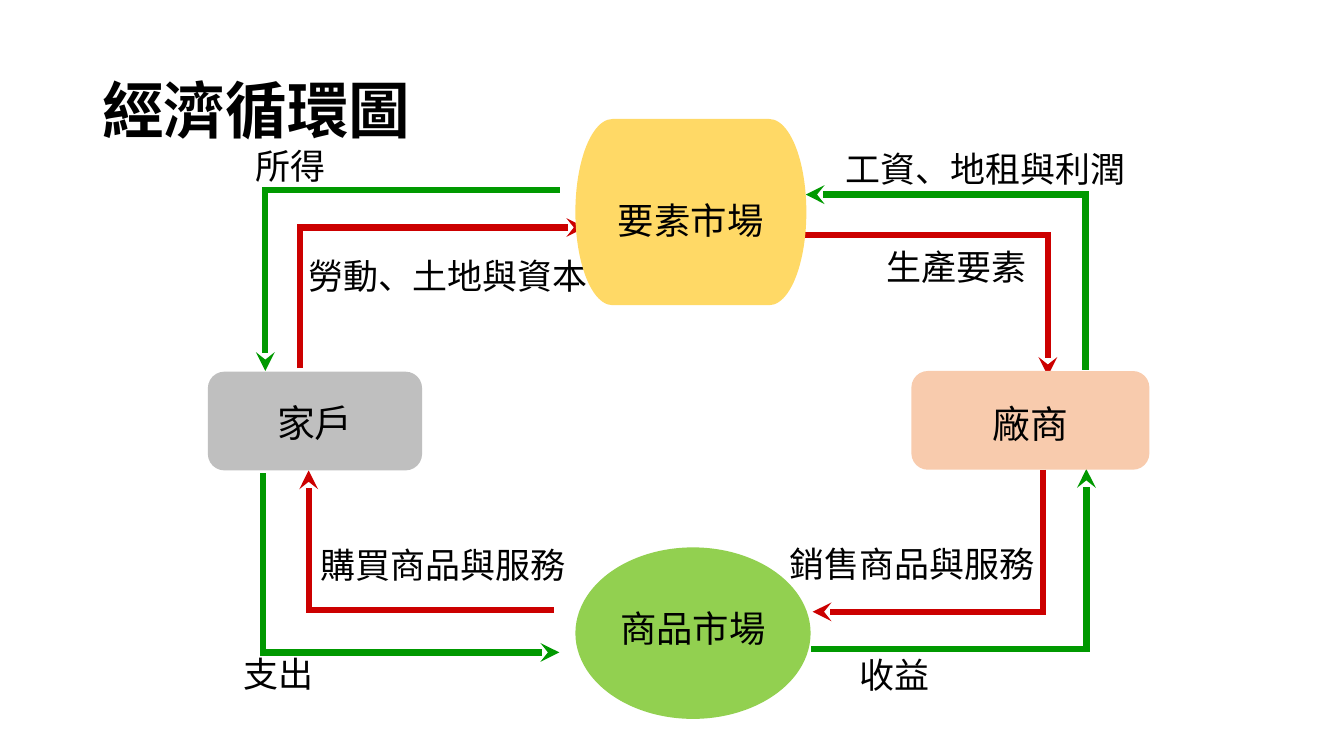
from lxml.etree import SubElement
from pptx import Presentation
from pptx.dml.color import RGBColor
from pptx.enum.shapes import MSO_CONNECTOR as Connector, MSO_SHAPE as Shape
from pptx.enum.text import MSO_ANCHOR as Anchor, PP_ALIGN as Align
from pptx.oxml.ns import qn
from pptx.util import Pt

COLORS = {
    "black": "000000",
    "goods": "CC0000",
    "money": "009900",
    "factor_market": "FFD966",
    "goods_market": "92D050",
    "household": "BFBFBF",
    "firm": "F8CBAD",
}
LINE_WIDTH = 4.5

# colour, then start, corner and arrow tip
FLOWS = [
    ("goods", (554.5, 168), (748.5, 168), (748.5, 268.5)),
    ("goods", (214.5, 263), (214.5, 162.5), (418, 162.5)),
    ("money", (579.5, 463.5), (776, 463.5), (776, 335)),
    ("money", (188, 338), (188, 466), (399.5, 466)),
    ("goods", (395.5, 435.5), (220.5, 435.5), (220.5, 336)),
    ("goods", (745, 335.5), (745, 437), (580.5, 437)),
    ("money", (775.5, 264), (775.5, 139), (575.5, 139)),
    ("money", (400, 135.5), (189.5, 135.5), (189.5, 265)),
]

# text, box, alignment, line spacing
LABELS = [
    ("生產要素", (619, 175, 121, 34.5), Align.RIGHT, 0.9),
    ("勞動、土地與資本", (213, 181.5, 217, 34.5), Align.LEFT, 0.9),
    ("收益", (607, 463, 201, 37.5), Align.LEFT, 1.0),
    ("支出", (167, 465, 176, 36), Align.LEFT, 0.95),
    ("購買商品與服務", (217.5, 388, 193.5, 34.5), Align.RIGHT, 0.9),
    ("銷售商品與服務", (557, 387.5, 191, 34.5), Align.LEFT, 0.9),
    ("工資、地租與利潤", (597, 101.5, 227.5, 37.5), Align.LEFT, 1.0),
    ("所得", (175.5, 99.5, 227.5, 37.5), Align.LEFT, 1.0),
]

# text, preset, colour, box, text size, downward shift of the text
NODES = [
    ("要素市場", Shape.FLOWCHART_TERMINATOR, "factor_market", (411, 85, 165, 133), 26, 5.5),
    ("商品市場", Shape.OVAL, "goods_market", (411, 391, 168, 122.5), 26, -4),
    ("廠商", Shape.ROUNDED_RECTANGLE, "firm", (651, 265, 170, 70.5), 27, 2.5),
    ("家戶", Shape.ROUNDED_RECTANGLE, "household", (148.5, 265.5, 153, 70.5), 27, 1),
]


def color(name):
    return RGBColor.from_string(COLORS[name])


def set_text(shape, text, *, size, font="Arial", bold=False, align=Align.LEFT,
             spacing=1.0, anchor=Anchor.TOP):
    frame = shape.text_frame
    frame.word_wrap = True
    frame.vertical_anchor = anchor
    paragraph = frame.paragraphs[0]
    paragraph.text = text
    paragraph.alignment = align
    paragraph.line_spacing = spacing
    paragraph.font.size = Pt(size)
    paragraph.font.name = font
    paragraph.font.bold = bold
    paragraph.font.color.rgb = color("black")


def add_label(slide, text, box, **text_format):
    label = slide.shapes.add_textbox(*map(Pt, box))
    set_text(label, text, **text_format)


def add_node(slide, text, preset, fill, box, size, shift):
    node = slide.shapes.add_shape(preset, *map(Pt, box))
    node.shadow.inherit = False
    node.fill.solid()
    node.fill.fore_color.rgb = color(fill)
    node.line.fill.background()
    set_text(node, text, size=size, align=Align.CENTER, anchor=Anchor.MIDDLE)
    node.text_frame.margin_top = Pt(6 + shift)
    node.text_frame.margin_bottom = Pt(6 - shift)


def add_segment(slide, start, end, line_color, arrow=False):
    segment = slide.shapes.add_connector(Connector.STRAIGHT, *map(Pt, start + end))
    segment.line.color.rgb = color(line_color)
    segment.line.width = Pt(LINE_WIDTH)
    if arrow:
        SubElement(segment.line._get_or_add_ln(), qn("a:tailEnd"), type="stealth")
    SubElement(segment._element.spPr, qn("a:effectLst"))


def add_flow(slide, line_color, start, corner, tip):
    """Draw a right-angled arrow whose first leg is lengthened to fill the corner."""
    half = LINE_WIDTH / 2
    outer = tuple(c + half * ((c > s) - (c < s)) for s, c in zip(start, corner))
    add_segment(slide, start, outer, line_color)
    add_segment(slide, corner, tip, line_color, arrow=True)


def main():
    presentation = Presentation()
    presentation.slide_width = Pt(960)
    presentation.slide_height = Pt(540)
    slide = presentation.slides.add_slide(presentation.slide_layouts[6])

    for flow in FLOWS:
        add_flow(slide, *flow)
    for text, box, align, spacing in LABELS:
        add_label(slide, text, box, size=25, align=align, spacing=spacing)
    for node in NODES:
        add_node(slide, *node)
    add_label(slide, "經濟循環圖", (66, 29, 828, 104.5), size=44, font="Calibri",
              bold=True, spacing=0.9, anchor=Anchor.MIDDLE)

    presentation.save("out.pptx")


if __name__ == "__main__":
    main()
